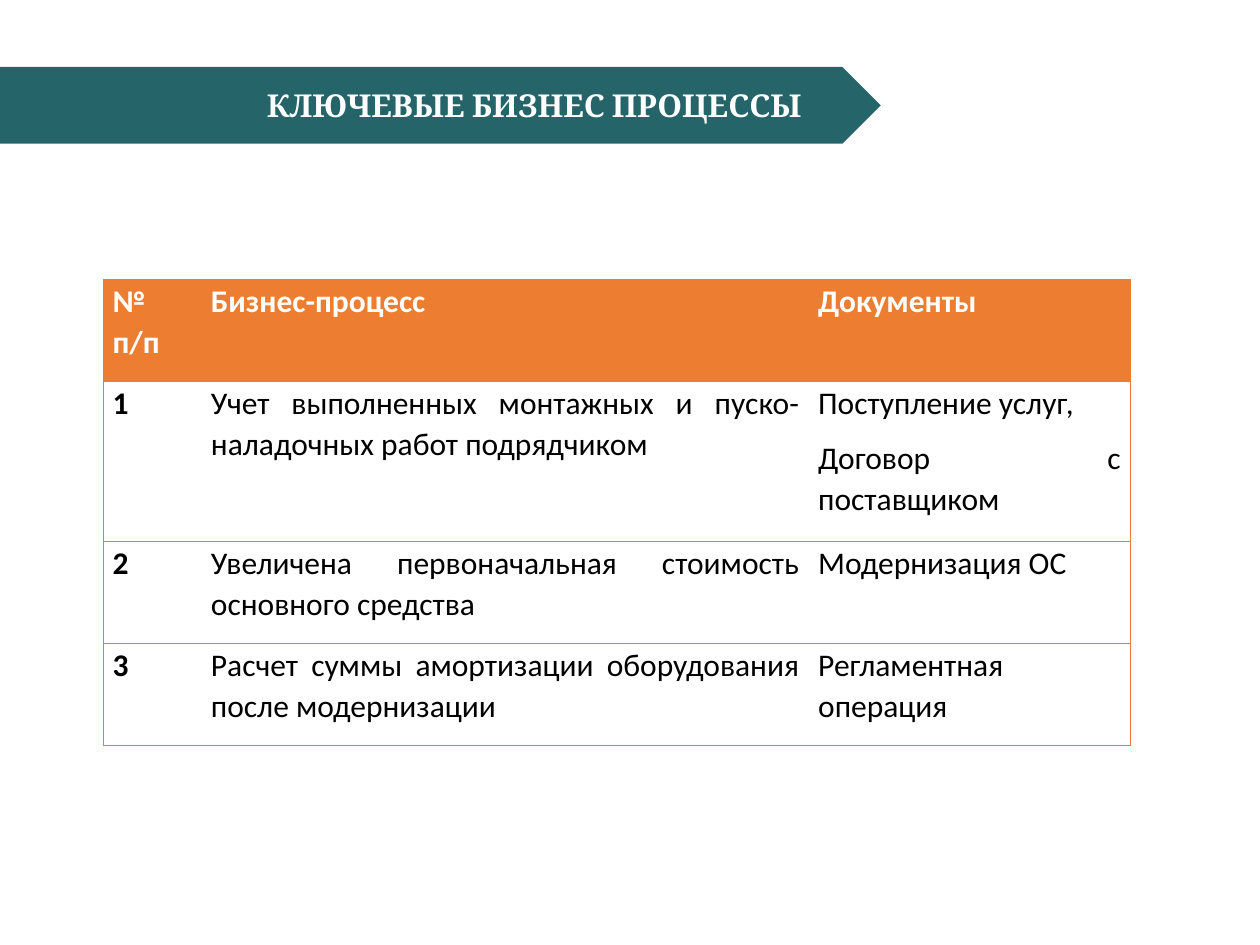
import pptx
import pptx.util
import pptx.dml.color
import pptx.enum.shapes
import pptx.enum.text
import pptx.oxml
import pptx.oxml.ns

Pt = pptx.util.Pt
ALIGN = pptx.enum.text.PP_ALIGN

# Content
TITLE = "КЛЮЧЕВЫЕ БИЗНЕС ПРОЦЕССЫ"
ROWS = [
    (["№ п/п"], ["Бизнес-процесс"], ["Документы"]),
    (["1"], ["Учет выполненных монтажных и пуско-наладочных работ подрядчиком"],
     ["Поступление услуг,", "Договор с поставщиком"]),
    (["2"], ["Увеличена первоначальная стоимость основного средства"],
     ["Модернизация ОС"]),
    (["3"], ["Расчет суммы амортизации оборудования после модернизации"],
     ["Регламентная операция"]),
]
COLORS = {"teal": "256569", "orange": "ED7D31", "white": "FFFFFF", "black": "000000"}
COLUMN_WIDTHS = [56.2, 347, 183.6]
ROW_HEIGHTS = [58.3, 91.4, 58.3, 58.3]
TABLE_LEFT, TABLE_TOP = 59, 159.8


def color(name):
    return pptx.dml.color.RGBColor.from_string(COLORS[name])


def paint(target, name):
    target.fill.solid()
    target.fill.fore_color.rgb = color(name)


def write(frame, lines, font="Calibri", ink="black", bold=False,
          align=ALIGN.JUSTIFY, spacing=1.07, after=8):
    for index, line in enumerate(lines):
        para = frame.paragraphs[0] if index == 0 else frame.add_paragraph()
        para.alignment, para.line_spacing, para.space_after = align, spacing, Pt(after)
        span = para.add_run()
        span.text = line
        span.font.name, span.font.size, span.font.bold = font, Pt(18), bold
        span.font.color.rgb = color(ink)


def set_borders(cell, visible):
    """Draw thin orange lines on the visible sides and none on the others."""
    properties = cell._tc.get_or_add_tcPr()
    for position, side in enumerate("LRTB"):
        fill = (f'<a:solidFill><a:srgbClr val="{COLORS["orange"]}"/></a:solidFill>'
                if side in visible else "<a:noFill/>")
        line = pptx.oxml.parse_xml(
            f'<a:ln{side} {pptx.oxml.ns.nsdecls("a")} w="{Pt(0.5)}">{fill}</a:ln{side}>')
        properties.insert(position, line)


deck = pptx.Presentation()
deck.slide_width, deck.slide_height = Pt(720), Pt(540)
page = deck.slides.add_slide(deck.slide_layouts[6])

# Title banner
banner = page.shapes.add_shape(pptx.enum.shapes.MSO_SHAPE.PENTAGON,
                               Pt(0), Pt(38.2), Pt(503.3), Pt(43.9))
banner.shadow.inherit = False
paint(banner, "teal")
banner.line.fill.background()

title = page.shapes.add_textbox(Pt(145.4), Pt(45.4), Pt(330.5), Pt(29))
title.text_frame.word_wrap = False
write(title.text_frame, [TITLE], font="Cambria", ink="white", bold=True,
      align=ALIGN.LEFT, spacing=1.0, after=0)

# Process table
table = page.shapes.add_table(len(ROWS), len(COLUMN_WIDTHS), Pt(TABLE_LEFT), Pt(TABLE_TOP),
                              Pt(sum(COLUMN_WIDTHS)), Pt(sum(ROW_HEIGHTS))).table
for column, width in zip(table.columns, COLUMN_WIDTHS):
    column.width = Pt(width)
for row, height in zip(table.rows, ROW_HEIGHTS):
    row.height = Pt(height)

last_column = len(COLUMN_WIDTHS) - 1
for r, row in enumerate(ROWS):
    for c, lines in enumerate(row):
        cell = table.cell(r, c)
        header = r == 0
        paint(cell, "orange" if header else "white")
        cell.margin_left = cell.margin_right = Pt(5.4)
        cell.margin_top = cell.margin_bottom = Pt(0)
        write(cell.text_frame, lines, ink="white" if header else "black",
              bold=header or c == 0)
        set_borders(cell, "TB" + ("L" if c == 0 else "") + ("R" if c == last_column else ""))

deck.save("out.pptx")
